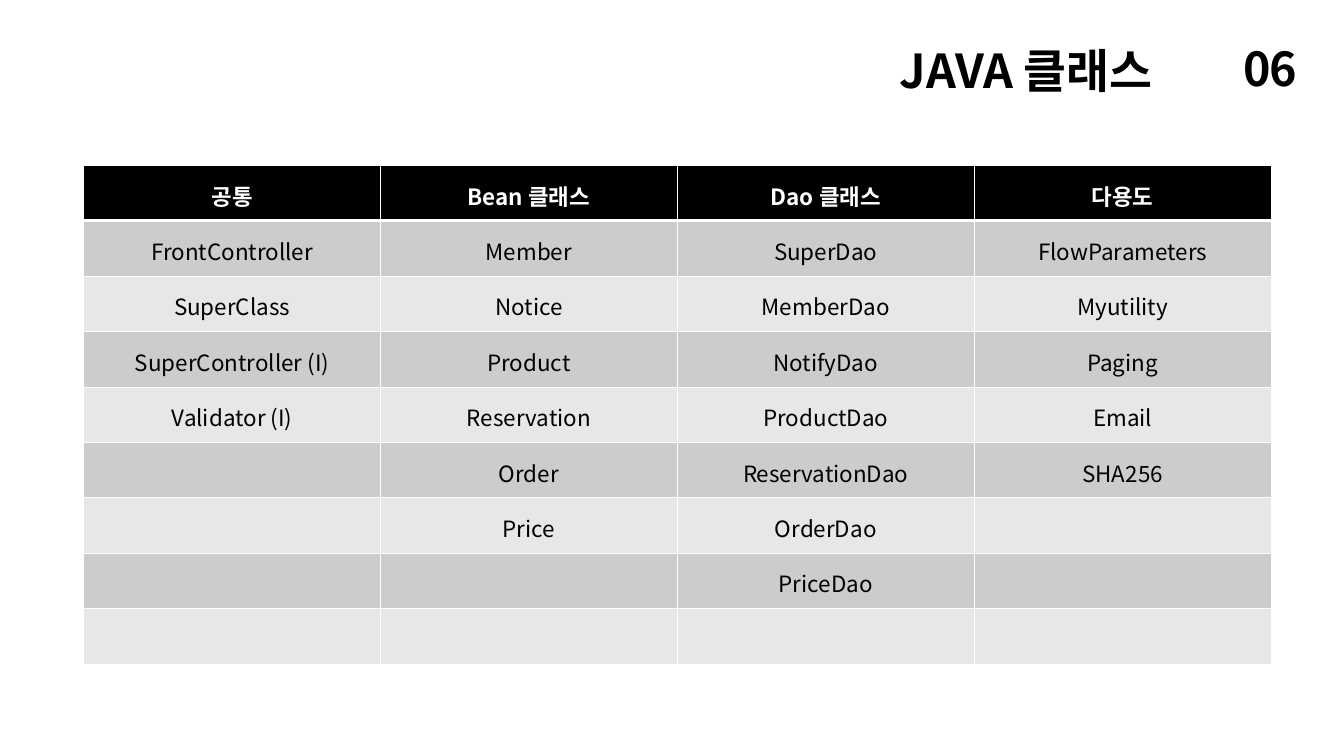
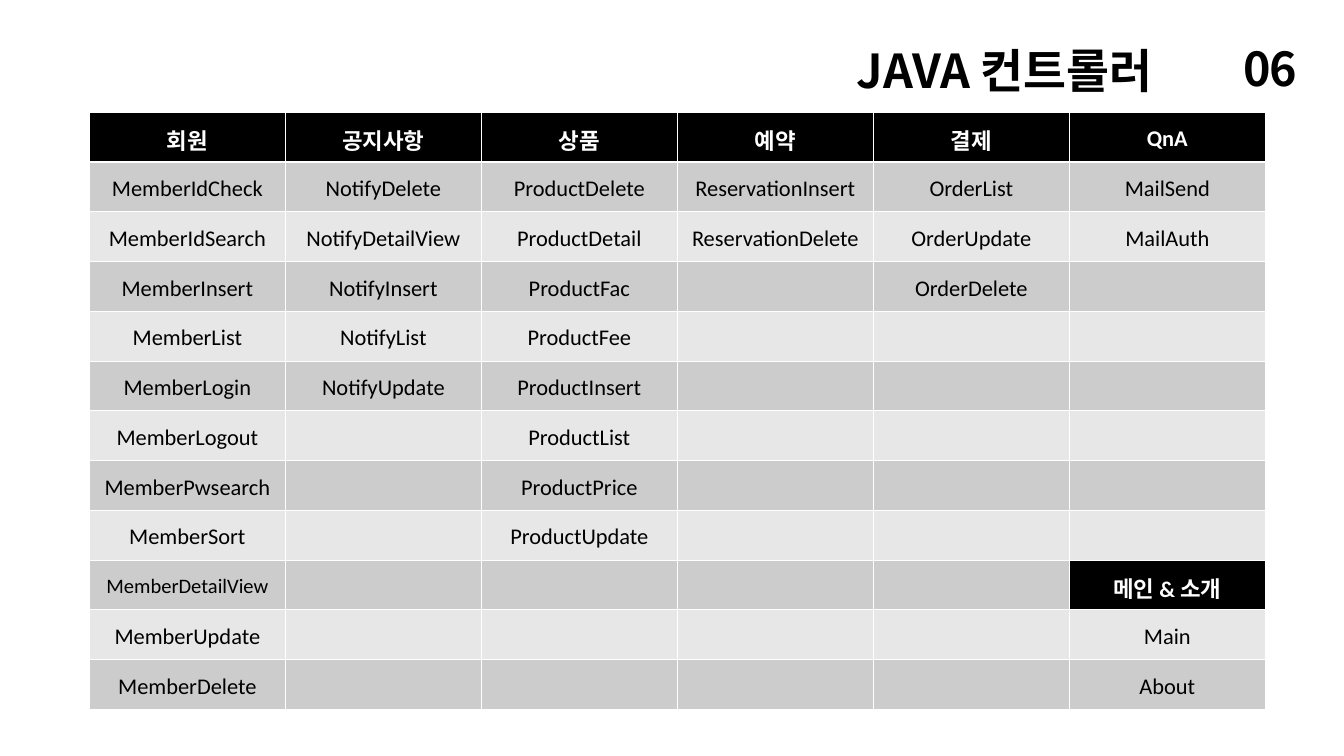
from itertools import zip_longest
from lxml import etree
from pptx import Presentation, util as u
from pptx.dml.color import RGBColor
from pptx.enum import text as t
from pptx.oxml.ns import qn

WIDE, HIGH = 20, 11.25
BLACK, WHITE, BANDS = "000000", "FFFFFF", ("CCCCCC", "E7E7E7")
NOTO, CALIBRI = "Noto Sans CJK KR", "Calibri"
MARK = "메인 & 소개"
SMALL = {"MemberDetailView": 22}

# Each column is a heading and the class names under it.
CLASSES = [
    ("공통", ["FrontController", "SuperClass", "SuperController (I)",
            "Validator (I)"]),
    ("Bean 클래스", ["Member", "Notice", "Product", "Reservation", "Order",
                  "Price"]),
    ("Dao 클래스", ["SuperDao", "MemberDao", "NotifyDao", "ProductDao",
                 "ReservationDao", "OrderDao", "PriceDao"]),
    ("다용도", ["FlowParameters", "Myutility", "Paging", "Email", "SHA256"]),
]
CONTROLS = [
    ("회원", ["MemberIdCheck", "MemberIdSearch", "MemberInsert", "MemberList",
            "MemberLogin", "MemberLogout", "MemberPwsearch", "MemberSort",
            "MemberDetailView", "MemberUpdate", "MemberDelete"]),
    ("공지사항", ["NotifyDelete", "NotifyDetailView", "NotifyInsert",
              "NotifyList", "NotifyUpdate"]),
    ("상품", ["ProductDelete", "ProductDetail", "ProductFac", "ProductFee",
            "ProductInsert", "ProductList", "ProductPrice", "ProductUpdate"]),
    ("예약", ["ReservationInsert", "ReservationDelete"]),
    ("결제", ["OrderList", "OrderUpdate", "OrderDelete"]),
    ("QnA", ["MailSend", "MailAuth"] + [""] * 6 + [MARK, "Main", "About"]),
]
# Title, columns, body rows, table top, width and height, font.
PAGES = [
    ("JAVA 클래스", CLASSES, 8, 2.46, 17.67, 7.42, NOTO),
    ("JAVA 컨트롤러", CONTROLS, 11, 1.67, 17.5, 8.89, CALIBRI),
]


def color(code):
    """Turn a hex string into a colour."""
    return RGBColor.from_string(code)


def write(frame, words, size=24, font=NOTO, ink=BLACK, bold=False,
          align=t.PP_ALIGN.CENTER, lead=None, track=None):
    """Put one formatted paragraph in a text frame."""
    para = frame.paragraphs[0]
    para.alignment, para.line_spacing = align, lead
    run = para.add_run()
    run.text = words
    face = run.font
    face.size, face.name, face.bold = u.Pt(size), font, bold
    face.color.rgb = color(ink)
    props = run._r.get_or_add_rPr()
    east = etree.SubElement(props, qn("a:ea"))
    east.set("typeface", NOTO)
    if track:
        props.set("spc", str(track * 100))


def label(slide, box, words, **form):
    """Add a bold heading in a text box."""
    frame = slide.shapes.add_textbox(*map(u.Inches, box)).text_frame
    frame.word_wrap = True
    frame.margin_top = frame.margin_bottom = 0
    write(frame, words, size=50, bold=True, **form)


def edge(cell, foot):
    """Draw white borders, with the bottom one at the given width."""
    props = cell._tc.get_or_add_tcPr()
    sides = (("L", 1), ("R", 1), ("T", 1), ("B", foot))
    for spot, (side, width) in enumerate(sides):
        line = etree.Element(qn("a:ln" + side), w=str(u.Pt(width)))
        fill = etree.SubElement(line, qn("a:solidFill"))
        etree.SubElement(fill, qn("a:srgbClr"), val=WHITE)
        props.insert(spot, line)


def grid(slide, cols, count, top, width, height, font):
    """Add a centred table with a black head and banded rows."""
    body = list(zip_longest(*(names for _, names in cols), fillvalue=""))
    body += [("",) * len(cols)] * (count - len(body))
    rows = [[head for head, _ in cols]] + body
    table = slide.shapes.add_table(
        len(rows), len(cols), u.Inches((WIDE - width) / 2 + 0.08),
        u.Inches(top), u.Inches(width), u.Inches(height)).table
    for row in table.rows:
        row.height = u.Inches(height / len(rows))
    for y, row in enumerate(rows):
        for x, words in enumerate(row):
            cell = table.cell(y, x)
            dark = y == 0 or words == MARK
            cell.fill.solid()
            cell.fill.fore_color.rgb = color(
                BLACK if dark else BANDS[(y - 1) % 2])
            cell.vertical_anchor = t.MSO_ANCHOR.MIDDLE
            cell.margin_left = cell.margin_right = u.Inches(0.07)
            cell.margin_top = cell.margin_bottom = 0
            edge(cell, 1 if y else 3)
            if words:
                write(cell.text_frame, words, size=SMALL.get(words, 24),
                      font=font, ink=WHITE if dark else BLACK, bold=dark,
                      lead=1.15)


deck = Presentation()
deck.slide_width, deck.slide_height = u.Inches(WIDE), u.Inches(HIGH)
for title, *plan in PAGES:
    slide = deck.slides.add_slide(deck.slide_layouts[6])
    label(slide, (18.41, 0.59, 1.48, 1.54), "06",
          align=t.PP_ALIGN.JUSTIFY, track=-2)
    label(slide, (8.75, 0.62, 8.5, 1.04), title, align=t.PP_ALIGN.RIGHT)
    grid(slide, *plan)
deck.save("out.pptx")
